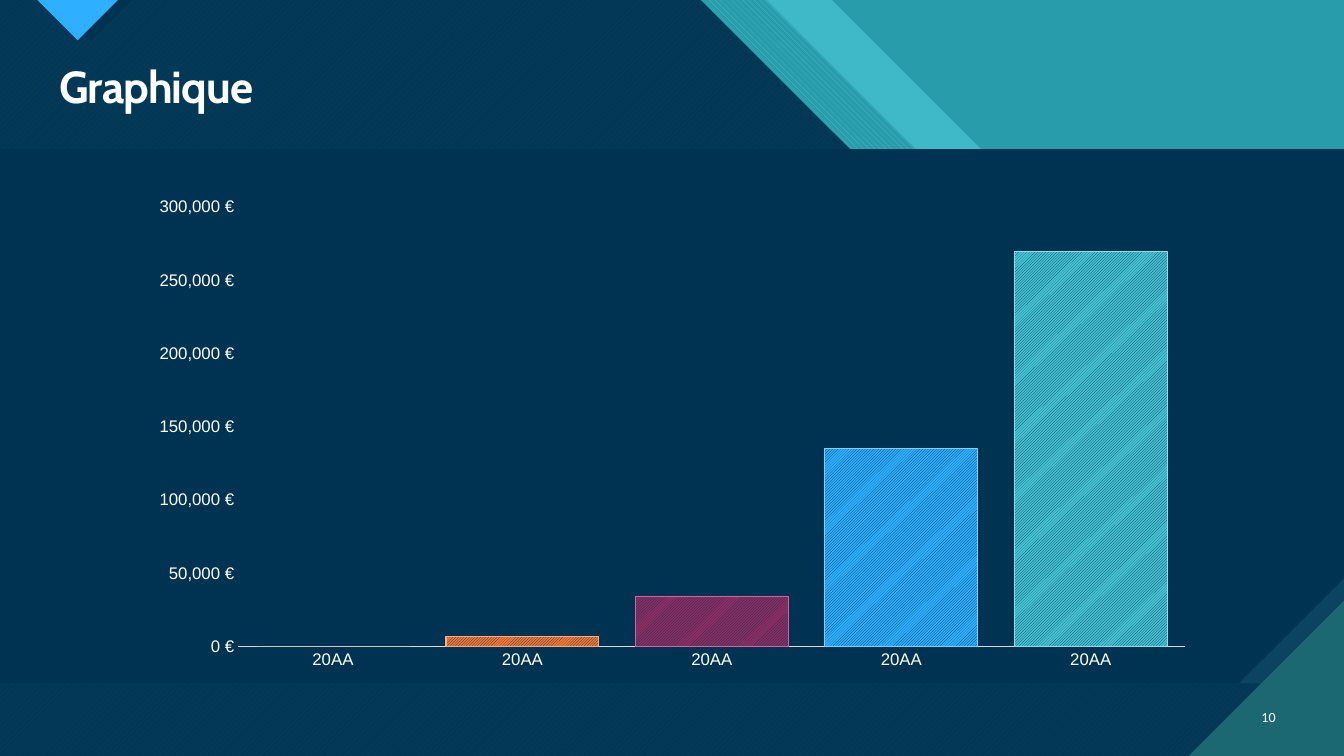
from lxml import etree
from pptx import Presentation
from pptx.chart.data import CategoryChartData
from pptx.dml.color import RGBColor
from pptx.enum.chart import XL_CHART_TYPE, XL_TICK_MARK
from pptx.enum.dml import MSO_PATTERN
from pptx.enum.shapes import MSO_SHAPE
from pptx.enum.text import MSO_ANCHOR, MSO_AUTO_SIZE, PP_ALIGN
from pptx.oxml.ns import qn
from pptx.util import Inches, Pt

COLUMNS = XL_CHART_TYPE.COLUMN_CLUSTERED
NO_TICK = XL_TICK_MARK.NONE
DOWN_STRIPES = MSO_PATTERN.WIDE_DOWNWARD_DIAGONAL
UP_STRIPES = MSO_PATTERN.WIDE_UPWARD_DIAGONAL
FINE_STRIPES = MSO_PATTERN.LIGHT_UPWARD_DIAGONAL
RECT, SNIP = MSO_SHAPE.RECTANGLE, MSO_SHAPE.SNIP_1_RECTANGLE
LEFT, RIGHT = PP_ALIGN.LEFT, PP_ALIGN.RIGHT
MIDDLE = MSO_ANCHOR.MIDDLE
GROW = MSO_AUTO_SIZE.SHAPE_TO_FIT_TEXT

WIDTH, HEIGHT = 13.33, 7.5
NAVY, NAVY_LIGHT, WHITE = "003352", "0C4360", "FFFFFF"
TEAL, TEAL_LIGHT, TEAL_DARK = "299CAB", "47C3D3", "1B6872"
BLUE = "2FAFFF"


def rgb(color):
    return RGBColor.from_string(color)


def paint(fill, color, pattern=None, back=None):
    """Fill with one colour, or with a pattern of two."""
    if pattern is None:
        fill.solid()
        fill.fore_color.rgb = rgb(color)
    else:
        fill.patterned()
        fill.pattern = pattern
        fill.fore_color.rgb = rgb(color)
        fill.back_color.rgb = rgb(back)


class SlideBuilder:
    def __init__(self, slide):
        self.slide = slide
        self.shapes = slide.shapes

    def background(self, color):
        paint(self.slide.background.fill, color)

    def finish(self, sp, color, pattern=None, back=None, alpha=None):
        paint(sp.fill, color, pattern, back)
        sp.line.fill.background()
        sp.shadow.inherit = False
        if alpha:
            clr = sp._element.spPr.find(".//" + qn("a:srgbClr"))
            etree.SubElement(clr, qn("a:alpha")).set("val", str(alpha * 1000))

    def polygon(self, points, color, **style):
        points = [(Inches(x), Inches(y)) for x, y in points]
        builder = self.shapes.build_freeform(*points[0], scale=1.0)
        builder.add_line_segments(points[1:], close=True)
        self.finish(builder.convert_to_shape(), color, **style)

    def diagonal_layer(self, top_x, color, **style):
        """Cover the slide left of a 45° edge that starts at top_x."""
        drop = 2.97
        self.polygon([(0, 0), (top_x, 0), (top_x + drop, drop), (WIDTH, drop),
                      (WIDTH, HEIGHT), (0, HEIGHT)], color, **style)

    def panel(self, kind, box, color, snip=None):
        sp = self.shapes.add_shape(kind, *map(Inches, box))
        self.finish(sp, color)
        if snip:
            sp.adjustments[0] = snip
            sp._element.spPr.find(qn("a:xfrm")).set("flipV", "1")

    def format_text(self, sp, text, font, size, align, bold=False):
        tf = sp.text_frame
        tf.word_wrap = True
        tf.vertical_anchor = MIDDLE
        p = tf.paragraphs[0]
        p.text = text
        p.alignment = align
        p.font.name, p.font.size, p.font.bold = font, Pt(size), bold
        p.font.color.rgb = rgb(WHITE)
        return p

    def title(self, text, box):
        sp = self.shapes.title
        sp.left, sp.top, sp.width, sp.height = map(Inches, box)
        p = self.format_text(sp, text, "Cabin", 32, LEFT, bold=True)
        p.line_spacing = 0.9
        p.runs[0].font._element.set("spc", "-70")
        sp.text_frame.auto_size = GROW
        self.shapes._spTree.append(sp._element)  # bring to front

    def text(self, text, box):
        sp = self.shapes.add_textbox(*map(Inches, box))
        self.format_text(sp, text, "Calibri", 10, RIGHT)

    def column_chart(self, box, categories, values, bar_colors):
        """bar_colors maps a point's index to its fill and outline colours."""
        data = CategoryChartData()
        data.categories = categories
        data.add_series("Series 1", values)
        chart = self.shapes.add_chart(COLUMNS, *map(Inches, box), data).chart
        chart.has_title = chart.has_legend = False
        chart.font.name, chart.font.size = "Arial", Pt(12)
        chart.font.color.rgb = rgb(WHITE)

        cat_axis, val_axis = chart.category_axis, chart.value_axis
        for axis in (cat_axis, val_axis):
            axis.has_major_gridlines = False
            axis.major_tick_mark = axis.minor_tick_mark = NO_TICK
        cat_axis.format.line.color.rgb = rgb("D9D9D9")
        cat_axis.format.line.width = Pt(0.75)
        val_axis.format.line.fill.background()
        val_axis.minimum_scale, val_axis.maximum_scale = 0, 300000
        val_axis.major_unit = 50000
        val_axis.tick_labels.number_format = '#,##0\\ "€"'
        val_axis.tick_labels.number_format_is_linked = False

        plot = chart.plots[0]
        plot.gap_width = 24
        plot.vary_by_categories = False
        series = plot.series[0]
        series.invert_if_negative = False
        paint(series.format.fill, "8F2D63")
        for i, (color, outline) in bar_colors.items():
            bar = series.points[i].format
            paint(bar.fill, NAVY, FINE_STRIPES, color)
            bar.line.color.rgb = rgb(outline)
            bar.line.width = Pt(0.75)


def main():
    prs = Presentation()
    prs.slide_width, prs.slide_height = Inches(WIDTH), Inches(HEIGHT)
    s = SlideBuilder(prs.slides.add_slide(prs.slide_layouts[5]))

    s.background(TEAL)
    s.diagonal_layer(8.25, TEAL_LIGHT, alpha=74)
    s.diagonal_layer(7.6, TEAL_LIGHT, pattern=DOWN_STRIPES, back=TEAL)
    s.diagonal_layer(6.95, TEAL_LIGHT, pattern=UP_STRIPES, back=TEAL_DARK)
    s.diagonal_layer(6.95, NAVY, alpha=90)
    s.polygon([(0.48, 0), (1.31, 0), (0.9, 0.41)], NAVY)
    s.polygon([(0.37, 0), (1.17, 0), (0.77, 0.4)], BLUE)

    content = (0, 1.48, WIDTH, 5.3)
    s.panel(RECT, content, NAVY_LIGHT)
    s.panel(SNIP, content, NAVY, snip=0.197)
    s.polygon([(11.79, HEIGHT), (WIDTH, HEIGHT), (WIDTH, 5.96)], TEAL_DARK)

    s.title("Graphique", (0.49, 0.59, 12.26, 0.59))
    s.column_chart((1.37, 1.87, 10.6, 4.86), ["20AA"] * 5,
                   [0, 7000, 34000, 135000, 270000],
                   {1: ("F47735", "F8AD86"), 2: ("8F2D63", "CF659F"),
                    3: (BLUE, "82CFFF"), 4: (TEAL_LIGHT, "91DBE5")})
    s.text("10", (12.31, 6.91, 0.44, 0.4))
    prs.save("out.pptx")


if __name__ == "__main__":
    main()
